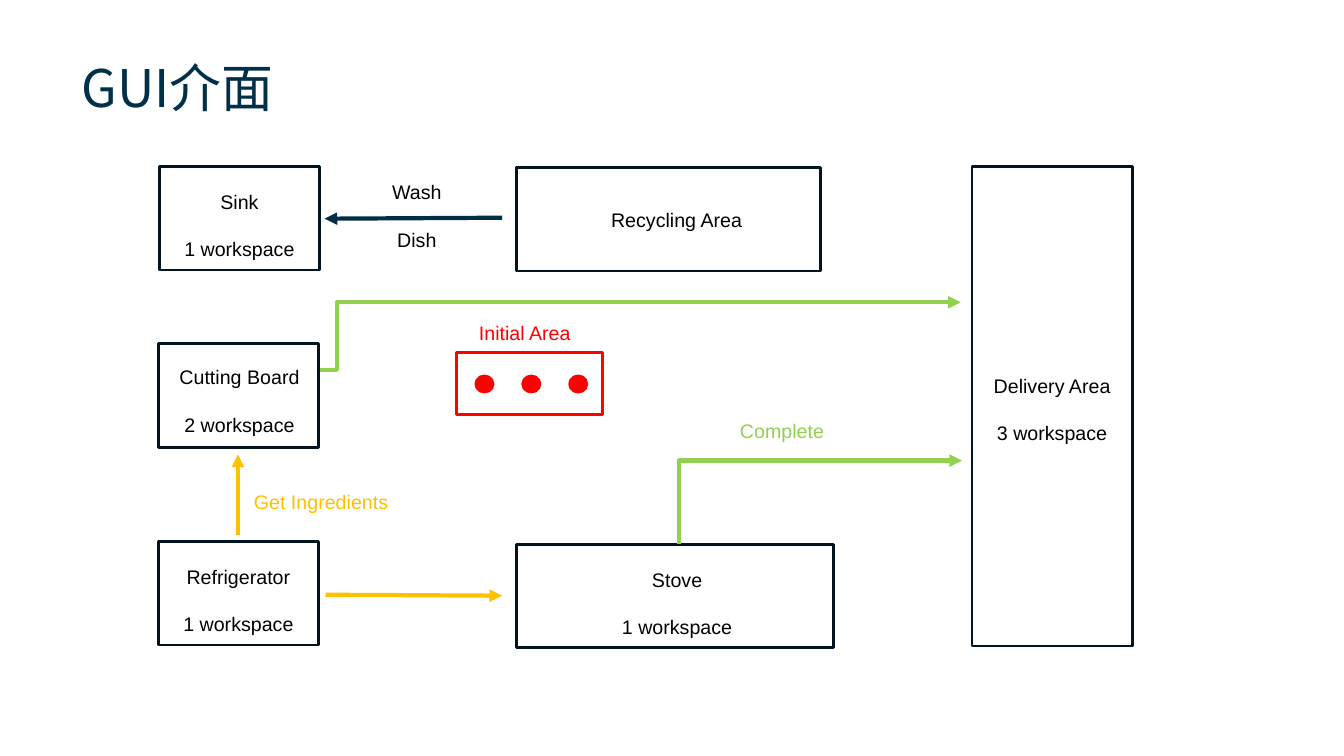
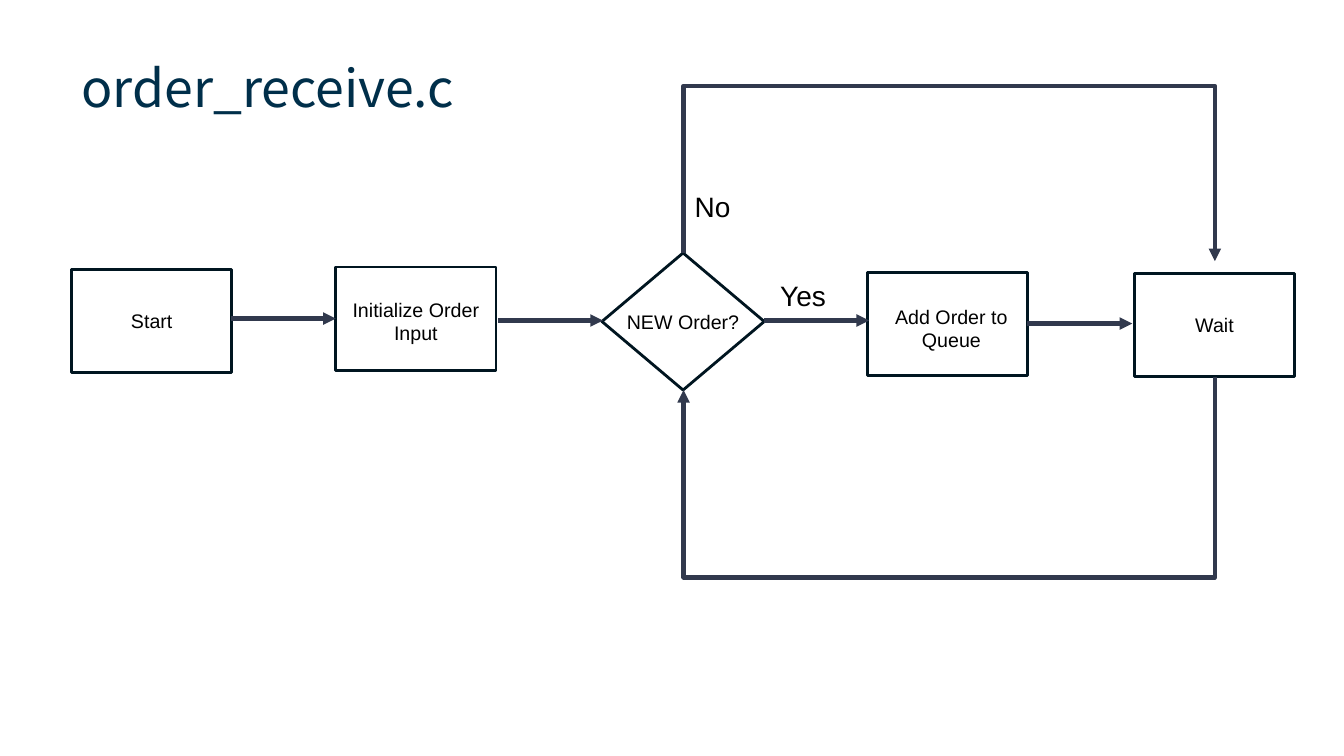
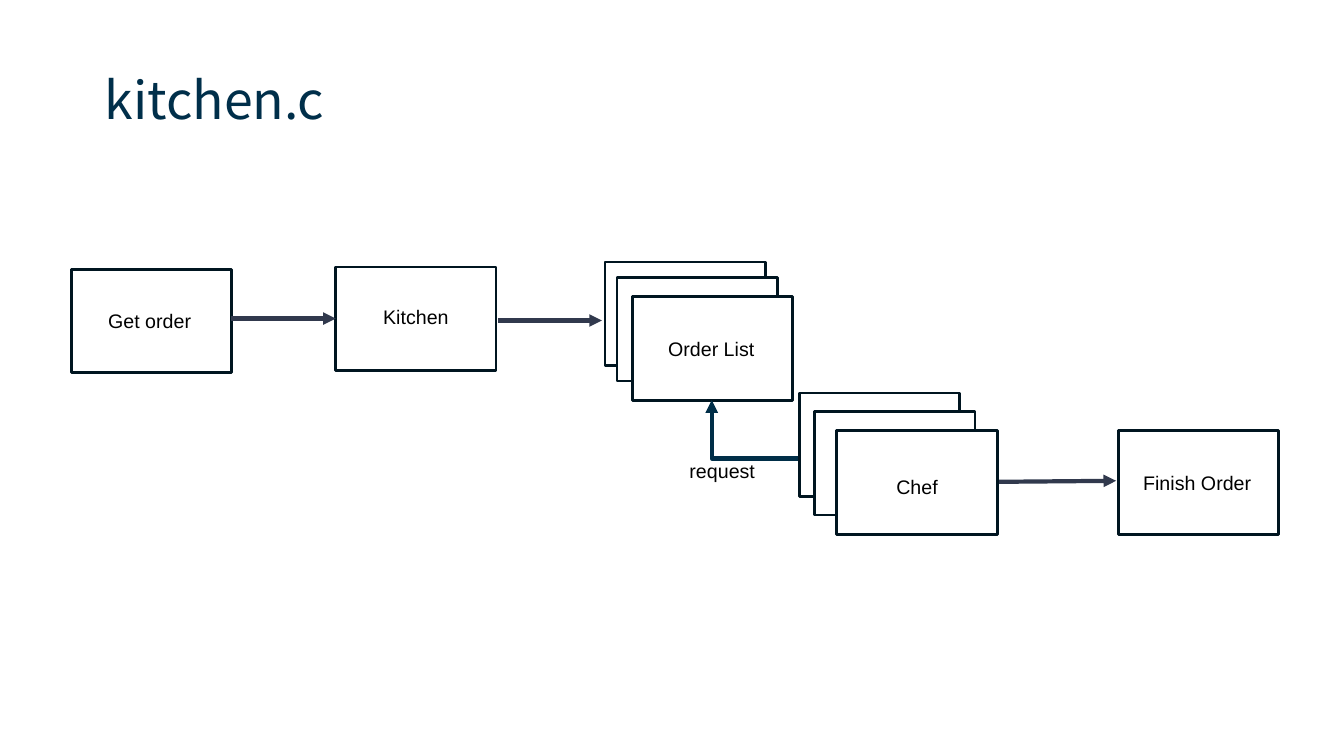
from dataclasses import dataclass

from pptx import Presentation
from pptx.dml.color import RGBColor
from pptx.enum.shapes import MSO_CONNECTOR, MSO_SHAPE
from pptx.enum.text import MSO_ANCHOR, PP_ALIGN
from pptx.oxml.ns import qn
from pptx.oxml.xmlchemy import OxmlElement
from pptx.util import Inches, Pt


@dataclass(frozen=True)
class Theme:
    title: str = "002F4A"
    text: str = "000000"
    outline: str = "001520"
    paper: str = "FFFFFF"
    navy: str = "002E48"
    slate: str = "31394D"
    amber: str = "FFC000"
    green: str = "92D050"
    red: str = "FF0000"
    title_font: str = "Noto Sans CJK TC"
    body_font: str = "Arial"
    title_size: int = 37
    body_size: int = 14
    branch_size: int = 20
    outline_width: int = 2
    arrow_width: int = 3
    line_gap: int = 17


THEME = Theme()
CARD = (1.59, 1.03)
MARGIN_X, MARGIN_Y = 0.1, 0.05


@dataclass(frozen=True)
class Box:
    left: float
    top: float
    width: float
    height: float

    def inner(self, dx, dy, width=CARD[0], height=CARD[1]):
        return Box(self.left + dx, self.top + dy, width, height)

    def route(self, *points):
        return [(self.left + x, self.top + y) for x, y in points]

    def lengths(self):
        return [Inches(v) for v in (self.left, self.top, self.width, self.height)]


def apply(target, values):
    for name, value in values.items():
        setattr(target, name, value)


def write(frame, lines, color=THEME.text, size=THEME.body_size,
          font=THEME.body_font, align=PP_ALIGN.CENTER):
    for index, line in enumerate(lines):
        para = frame.add_paragraph() if index else frame.paragraphs[0]
        apply(para, {"alignment": align,
                     "space_before": Pt(THEME.line_gap if index else 0)})
        span = para.add_run()
        span.text = line
        apply(span.font, {"name": font, "size": Pt(size)})
        span.font.color.rgb = RGBColor.from_string(color)
        east_asian = OxmlElement("a:ea")
        east_asian.set("typeface", font)
        span.font._element.append(east_asian)


def label(page, box, *lines, **style):
    frame = page.shapes.add_textbox(*box.lengths()).text_frame
    frame.word_wrap = True
    write(frame, lines, **style)


def title(page, box, text):
    label(page, box, text, color=THEME.title, size=THEME.title_size,
          font=THEME.title_font, align=PP_ALIGN.LEFT)


def outline(page, box, kind=MSO_SHAPE.RECTANGLE, fill=THEME.paper, line=THEME.outline):
    shape = page.shapes.add_shape(kind, *box.lengths())
    shape.shadow.inherit = False
    if fill:
        shape.fill.solid()
        shape.fill.fore_color.rgb = RGBColor.from_string(fill)
    else:
        shape.fill.background()
    shape.line.color.rgb = RGBColor.from_string(line)
    shape.line.width = Pt(THEME.outline_width)
    return shape


def card(page, box, *lines, shift=(0, 0)):
    """Draw a box whose centred text is moved by shift, in inches."""
    right, down = shift
    frame = outline(page, box).text_frame
    apply(frame, {
        "word_wrap": True,
        "vertical_anchor": MSO_ANCHOR.MIDDLE,
        "margin_left": Inches(MARGIN_X + 2 * max(right, 0)),
        "margin_right": Inches(MARGIN_X + 2 * max(-right, 0)),
        "margin_top": Inches(MARGIN_Y + 2 * max(down, 0)),
        "margin_bottom": Inches(MARGIN_Y + 2 * max(-down, 0)),
    })
    write(frame, lines)


def decision(page, box, text):
    frame = outline(page, box, MSO_SHAPE.DIAMOND, fill=None).text_frame
    apply(frame, {"word_wrap": False, "vertical_anchor": MSO_ANCHOR.MIDDLE,
                  "margin_left": 0, "margin_right": 0})
    write(frame, [text])


def stack(page, box, steps, text, shift=(0, 0)):
    """Draw overlapping cards; the front one, at the last step, has the text."""
    for step in steps[:-1]:
        outline(page, box.inner(*step))
    card(page, box.inner(*steps[-1]), text, shift=shift)


def arrow(page, route, color=THEME.slate):
    """Draw an arrow along two points, or along a route with one or two corners."""
    (x1, y1), (x2, y2) = route[0], route[-1]
    kind = MSO_CONNECTOR.STRAIGHT if len(route) == 2 else MSO_CONNECTOR.ELBOW
    connector = page.shapes.add_connector(kind, *map(Inches, (x1, y1, x2, y2)))
    if len(route) > 2:
        bend(connector, route)
    connector.line.color.rgb = RGBColor.from_string(color)
    connector.line.width = Pt(THEME.arrow_width)
    head = OxmlElement("a:tailEnd")
    head.set("type", "triangle")
    connector.line._get_or_add_ln().append(head)
    connector._element.spPr.append(OxmlElement("a:effectLst"))


def bend(connector, route):
    """Fit an elbow connector to its corners; turn it if it sets off vertically."""
    (x1, y1), corner, (x2, y2) = route[0], route[1], route[-1]
    dx, dy = x2 - x1, y2 - y1
    vertical = corner[0] == x1
    properties = connector._element.spPr
    if vertical:
        width, height = abs(dy), abs(dx)
        apply(connector, {
            "left": Inches((x1 + x2 - width) / 2),
            "top": Inches((y1 + y2 - height) / 2),
            "width": Inches(width),
            "height": Inches(height),
        })
        frame = properties.find(qn("a:xfrm"))
        for name, value in {"rot": 90 * 60000, "flipH": int(dy < 0),
                            "flipV": int(dx > 0)}.items():
            frame.set(name, str(value))
    geometry = properties.find(qn("a:prstGeom"))
    geometry.set("prst", f"bentConnector{len(route) - 1}")
    if len(route) == 4:
        share = (corner[1] - y1) / dy if vertical else (corner[0] - x1) / dx
        guide = OxmlElement("a:gd")
        guide.set("name", "adj1")
        guide.set("fmla", f"val {round(share * 100000)}")
        geometry.find(qn("a:avLst")).append(guide)


def initial_area(page, box):
    outline(page, box, fill=None, line=THEME.red)
    for index in range(3):
        dot = box.inner(0.19 + 0.465 * index, 0.23, 0.17, 0.16)
        outline(page, dot, MSO_SHAPE.OVAL, fill=THEME.red, line=THEME.red)
    label(page, box.inner(-0.05, -0.37, box.width, 0.34), "Initial Area", color=THEME.red)


def kitchen_map(page, area):
    stations = [
        ((0, 3.72), ("Refrigerator", "1 workspace"), (0, 0.07)),
        ((0.01, 0), ("Sink", "1 workspace"), (0, 0.07)),
        ((8.07, 0, 1.59, 4.76), ("Delivery Area", "3 workspace"), (0, 0.03)),
        ((0, 1.76), ("Cutting Board", "2 workspace"), (0.01, 0.05)),
        ((3.55, 3.75, 3.15, 1.02), ("Stove", "1 workspace"), (0.02, 0.07)),
        ((3.55, 0.01, 3.02, 1.03), ("Recycling Area",), (0.08, 0)),
    ]
    for place, lines, shift in stations:
        card(page, area.inner(*place), *lines, shift=shift)
    initial_area(page, area.inner(2.96, 1.85, 1.45, 0.61))
    moves = [
        (THEME.navy, [(3.41, 0.51), (1.65, 0.52)]),
        (THEME.amber, [(0.79, 3.66), (0.79, 2.86)]),
        (THEME.amber, [(1.66, 4.25), (3.41, 4.26)]),
        (THEME.green, [(1.6, 2.02), (1.77, 2.02), (1.77, 1.35), (7.96, 1.35)]),
        (THEME.green, [(5.16, 3.75), (5.16, 2.92), (7.97, 2.92)]),
    ]
    for color, points in moves:
        arrow(page, area.route(*points), color)
    label(page, area.inner(1.76, 0.09, 1.61, 0.81), "Wash", "Dish")
    label(page, area.inner(0.85, 3.16, 1.61, 0.34), "Get Ingredients",
          color=THEME.amber, align=PP_ALIGN.LEFT)
    label(page, area.inner(5.67, 2.46, 1.15, 0.34), "Complete",
          color=THEME.green, align=PP_ALIGN.LEFT)


def order_flow(page, area):
    steps = [
        ((0, 1.82), "Start", (0, 0)),
        ((2.62, 1.8), "Initialize Order Input", (0, 0.02)),
        ((7.89, 1.85), "Add Order to Queue", (0.04, 0.04)),
        ((10.54, 1.86), "Wait", (0, 0)),
    ]
    for place, text, shift in steps:
        card(page, area.inner(*place), text, shift=shift)
    decision(page, area.inner(5.26, 1.66, 1.61, 1.36), "NEW Order?")
    for x, y in [(1.58, 2.31), (4.23, 2.33), (6.87, 2.33), (9.48, 2.36)]:
        arrow(page, area.route((x, y), (x + 1.04, y)))
    ask, wait = 6.07, 11.34
    arrow(page, area.route((wait, 2.89), (wait, 4.88), (ask, 4.88), (ask, 3.02)))
    arrow(page, area.route((ask, 1.66), (ask, 0), (wait, 0), (wait, 1.74)))
    for place, text in [((6.93, 1.86, 0.85, 0.44), "Yes"), ((6.08, 0.98, 0.65, 0.44), "No")]:
        label(page, area.inner(*place), text, size=THEME.branch_size, align=PP_ALIGN.LEFT)


def kitchen_flow(page, area):
    steps = [
        ((0, 0.07), "Get order", (-0.02, 0)),
        ((2.62, 0.05), "Kitchen", (0, -0.02)),
        ((10.38, 1.67), "Finish Order", (-0.01, 0)),
    ]
    for place, text, shift in steps:
        card(page, area.inner(*place), text, shift=shift)
    stack(page, area.inner(5.29, 0), [(0, 0), (0.12, 0.15), (0.27, 0.34)],
          "Order List", shift=(-0.01, 0))
    stack(page, area.inner(7.22, 1.3), [(0, 0), (0.15, 0.18), (0.37, 0.37)],
          "Chef", shift=(0, 0.04))
    for points in [[(1.58, 0.56), (2.62, 0.56)], [(4.23, 0.58), (5.26, 0.58)],
                   [(9.2, 2.18), (10.36, 2.17)]]:
        arrow(page, area.route(*points))
    arrow(page, area.route((7.21, 1.95), (6.35, 1.95), (6.35, 1.37)), THEME.navy)
    label(page, area.inner(6.03, 1.9, 1, 0.34), "request", align=PP_ALIGN.LEFT)


def main():
    deck = Presentation()
    apply(deck, {"slide_width": Inches(13.33), "slide_height": Inches(7.5)})
    pages = [
        ("GUI介面", Box(0.71, 0.5, 2.47, 0.77), kitchen_map, Box(1.57, 1.65, 9.66, 4.77)),
        ("order_receive.c", Box(0.71, 0.5, 10.29, 1.53), order_flow,
         Box(0.71, 0.85, 12.13, 4.88)),
        ("kitchen.c", Box(0.94, 0.62, 10.29, 1.53), kitchen_flow,
         Box(0.71, 2.6, 11.97, 2.7)),
    ]
    for heading, heading_box, draw, area in pages:
        page = deck.slides.add_slide(deck.slide_layouts[6])
        title(page, heading_box, heading)
        draw(page, area)
    deck.save("out.pptx")


if __name__ == "__main__":
    main()
